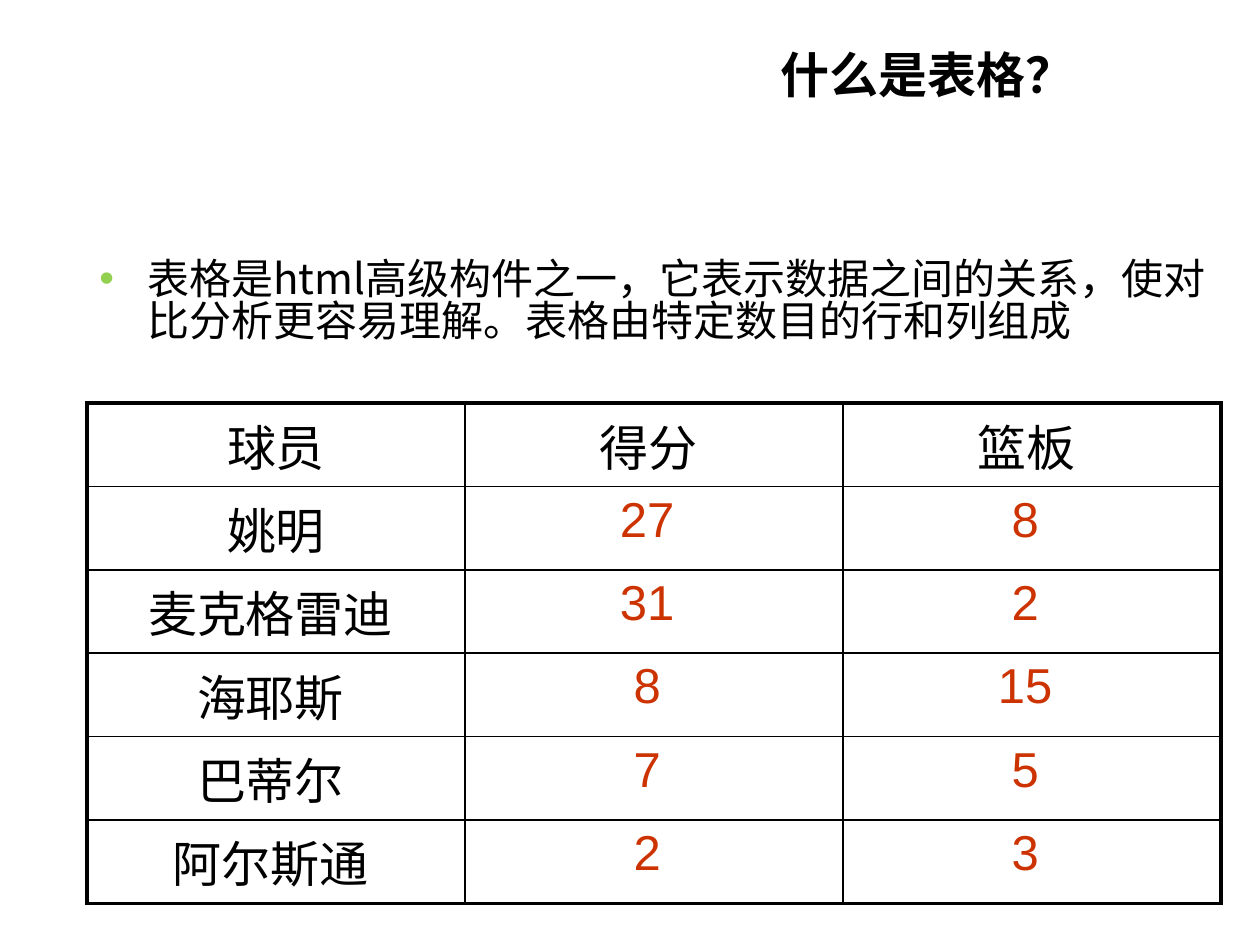
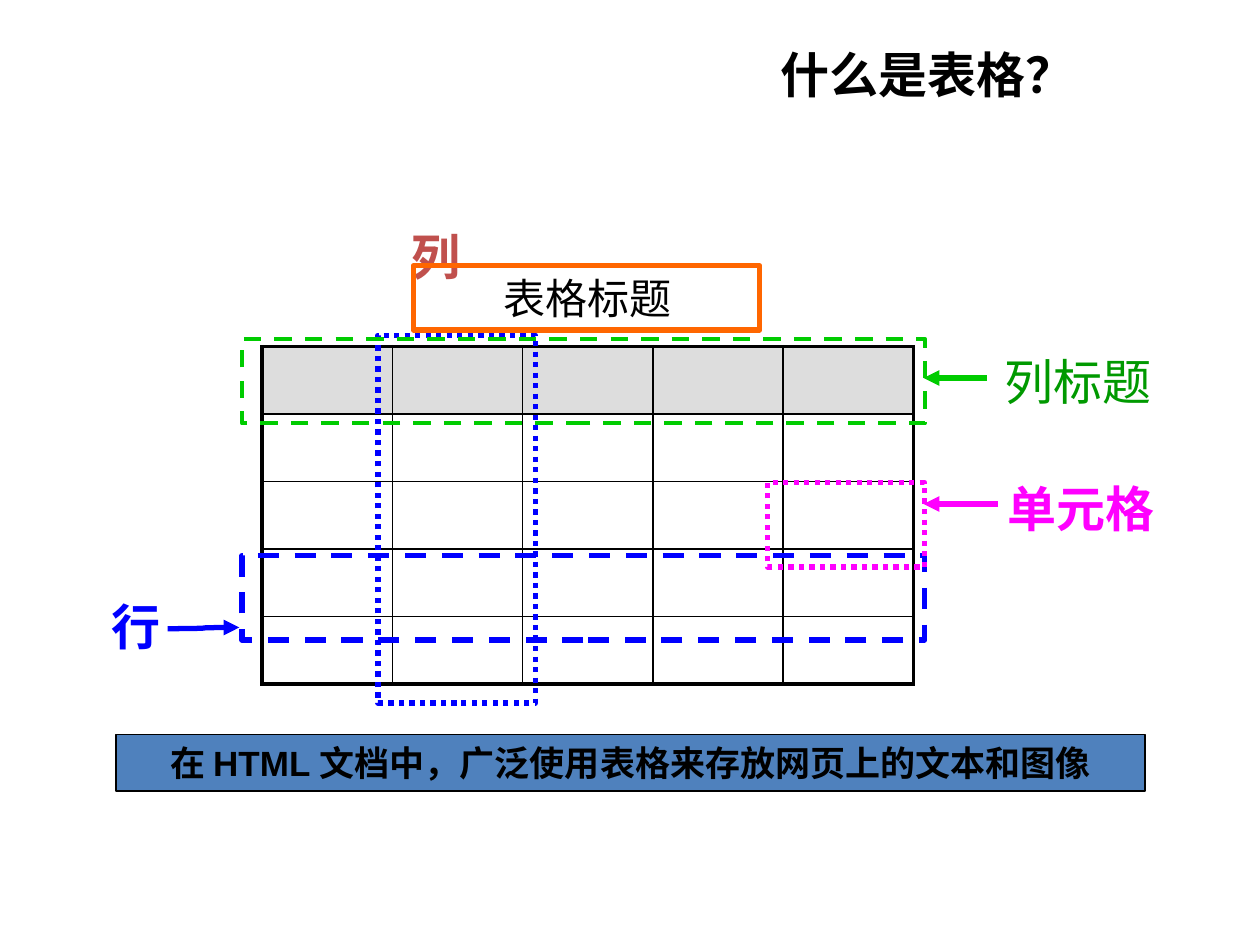
from lxml import etree
from pptx import Presentation
from pptx.dml.color import RGBColor
from pptx.enum import dml, shapes, text
from pptx.oxml.ns import qn
from pptx.util import Inches, Pt

SANS, LATIN, MONO = "Noto Sans CJK SC", "Arial", "Courier New"
BLACK, BLUE, GREEN, MAGENTA = "000000", "0000FF", "00CC00", "FF00FF"
DASH, DOT = dml.MSO_LINE.DASH, dml.MSO_LINE.ROUND_DOT
CENTER, MIDDLE = text.PP_ALIGN.CENTER, text.MSO_ANCHOR.MIDDLE
TITLE_ONLY = 5
TITLE = "什么是表格？"
TITLE_BOX = (4.8, 0.31, 5.12, 0.55)
OUTER, INNER = 2.25, 1

DEFINITION = "表格是html高级构件之一，它表示数据之间的关系，使对比分析更容易理解。表格由特定数目的行和列组成"
PLAYER_STATS = [
    ("球员", "得分 ", "篮板 "),
    ("姚明", "27 ", "8 "),
    ("麦克格雷迪 ", "31 ", "2 "),
    ("海耶斯 ", "8 ", "15 "),
    ("巴蒂尔 ", "7 ", "5 "),
    ("阿尔斯通 ", "2 ", "3 "),
]


def rgb(value):
    return RGBColor.from_string(value)


def inches(box):
    return [Inches(length) for length in box]


def write(frame, words, size, font=SANS, color=BLACK, bold=False, align=CENTER):
    """Fill a text frame with one formatted paragraph and return it."""
    paragraph = frame.paragraphs[0]
    paragraph.alignment = align
    run = paragraph.add_run()
    run.text = words
    for name, value in {"size": Pt(size), "name": font, "bold": bold}.items():
        setattr(run.font, name, value)
    run.font.color.rgb = rgb(color)
    east_asian = etree.SubElement(run.font._element, qn("a:ea"))
    east_asian.set("typeface", SANS)
    return paragraph


def add_titled_slide(prs):
    slide = prs.slides.add_slide(prs.slide_layouts[TITLE_ONLY])
    title = slide.shapes.title
    for name, value in zip(("left", "top", "width", "height"), inches(TITLE_BOX)):
        setattr(title, name, value)
    title.text_frame.vertical_anchor = MIDDLE
    write(title.text_frame, TITLE, 28, bold=True)
    return slide


def add_label(slide, box, words, size=28, font=MONO, **style):
    frame = slide.shapes.add_textbox(*inches(box)).text_frame
    frame.word_wrap = True
    frame.vertical_anchor = MIDDLE
    write(frame, words, size, font, **style)


def add_frame(slide, box, color, width=3, dash=None, fill=None):
    frame = slide.shapes.add_shape(shapes.MSO_SHAPE.RECTANGLE, *inches(box))
    frame.shadow.inherit = False
    if fill:
        frame.fill.solid()
        frame.fill.fore_color.rgb = rgb(fill)
    else:
        frame.fill.background()
    frame.line.color.rgb = rgb(color)
    frame.line.width = Pt(width)
    if dash:
        frame.line.dash_style = dash
    return frame


def add_arrow(slide, ends, color, kind=shapes.MSO_CONNECTOR.STRAIGHT):
    arrow = slide.shapes.add_connector(kind, *inches(ends))
    arrow.line.color.rgb = rgb(color)
    arrow.line.width = Pt(3)
    etree.SubElement(arrow.line._get_or_add_ln(), qn("a:tailEnd")).set("type", "triangle")
    etree.SubElement(arrow._element.spPr, qn("a:effectLst"))


def set_borders(cell, widths):
    """Draw black cell borders; widths are left, right, top, bottom in points."""
    properties = cell._tc.get_or_add_tcPr()
    for index, (side, width) in enumerate(zip("LRTB", widths)):
        border = etree.Element(qn(f"a:ln{side}"), w=str(Pt(width)))
        fill = etree.SubElement(border, qn("a:solidFill"))
        etree.SubElement(fill, qn("a:srgbClr")).set("val", BLACK)
        properties.insert(index, border)


def add_grid(slide, box, row_count, column_count, header_fill=None):
    """Add an even table with thick outer and thin inner borders."""
    table = slide.shapes.add_table(row_count, column_count, *inches(box)).table
    table.first_row = table.horz_banding = False
    for r in range(row_count):
        for c in range(column_count):
            cell = table.cell(r, c)
            if header_fill and r == 0:
                cell.fill.solid()
                cell.fill.fore_color.rgb = rgb(header_fill)
            else:
                cell.fill.background()
            on_edge = (c == 0, c == column_count - 1, r == 0, r == row_count - 1)
            set_borders(cell, [OUTER if edge else INNER for edge in on_edge])
    return table


def add_definition(slide, box):
    frame = slide.shapes.add_textbox(*inches(box)).text_frame
    frame.word_wrap = True
    paragraph = write(frame, DEFINITION, 24, align=text.PP_ALIGN.LEFT)
    paragraph.line_spacing = 0.82
    paragraph.space_before = Pt(5)
    properties = paragraph._p.get_or_add_pPr()
    properties.set("marL", str(Inches(0.38)))
    properties.set("indent", str(Inches(-0.38)))
    bullet_color = etree.SubElement(properties, qn("a:buClr"))
    etree.SubElement(bullet_color, qn("a:srgbClr")).set("val", "92D050")
    etree.SubElement(properties, qn("a:buFont")).set("typeface", LATIN)
    etree.SubElement(properties, qn("a:buChar")).set("char", "•")


def add_player_stats(slide, box):
    table = add_grid(slide, box, len(PLAYER_STATS), len(PLAYER_STATS[0]))
    margins = {"margin_left": 0.12, "margin_right": 0.12,
               "margin_top": 0.05, "margin_bottom": 0.05}
    for r, record in enumerate(PLAYER_STATS):
        for c, words in enumerate(record):
            cell = table.cell(r, c)
            for name, value in margins.items():
                setattr(cell, name, Inches(value))
            is_number = r > 0 and c > 0
            write(cell.text_frame, words, 28, LATIN if is_number else SANS,
                  "CC3300" if is_number else BLACK)


def add_table_anatomy(slide, left, top):
    """Draw a blank table with its parts framed and named."""
    def at(x, y, width, height):
        return left + x, top + y, width, height

    def ends(x1, y1, x2, y2):
        return left + x1, top + y1, left + x2, top + y2

    add_grid(slide, at(0, 0, 5.17, 2.68), 5, 5, header_fill="DDDDDD")
    add_frame(slide, at(-0.16, 1.66, 5.42, 0.67), BLUE, dash=DASH)
    add_label(slide, at(-1.5, 1.93, 1, 0.57), "行", color=BLUE, bold=True)
    add_frame(slide, at(0.92, -0.09, 1.25, 2.92), BLUE, dash=DOT)
    add_label(slide, at(0.67, -1, 1.42, 0.57), "列", color="C0504D", bold=True)
    add_frame(slide, at(-0.16, -0.06, 5.42, 0.67), GREEN, 2.5, DASH)
    add_label(slide, at(5.31, -0.01, 2.33, 0.57), "列标题", color="009900")
    add_arrow(slide, ends(5.75, 0.25, 5.25, 0.25), GREEN)
    add_frame(slide, at(4.01, 1.08, 1.25, 0.67), MAGENTA, dash=DOT)
    add_label(slide, at(5.75, 1, 1.5, 0.57), "单元格", color=MAGENTA, bold=True)
    add_arrow(slide, ends(5.84, 1.25, 5.25, 1.25), MAGENTA)
    add_arrow(slide, ends(-0.75, 2.24, -0.18, 2.23), BLUE, shapes.MSO_CONNECTOR.CURVE)
    add_label(slide, at(1.62, -0.64, 1.92, 0.5), "表格标题", 24)
    add_frame(slide, at(1.2, -0.64, 2.75, 0.51), "FF6600")


def add_usage_bar(slide, box):
    bar = add_frame(slide, box, BLACK, 1, fill="4F81BD")
    bar.text_frame.word_wrap = True
    bar.text_frame.vertical_anchor = MIDDLE
    write(bar.text_frame, "在 HTML 文档中，广泛使用表格来存放网页上的文本和图像",
          20, LATIN, bold=True)


def main():
    prs = Presentation()
    prs.slide_width, prs.slide_height = Inches(10), Inches(7.5)

    example = add_titled_slide(prs)
    add_definition(example, (0.69, 2.03, 9, 1.1))
    add_player_stats(example, (0.69, 3.2, 9, 3.97))

    anatomy = add_titled_slide(prs)
    add_table_anatomy(anatomy, 2.08, 2.75)
    add_usage_bar(anatomy, (0.92, 5.83, 8.17, 0.45))

    prs.save("out.pptx")


if __name__ == "__main__":
    main()
